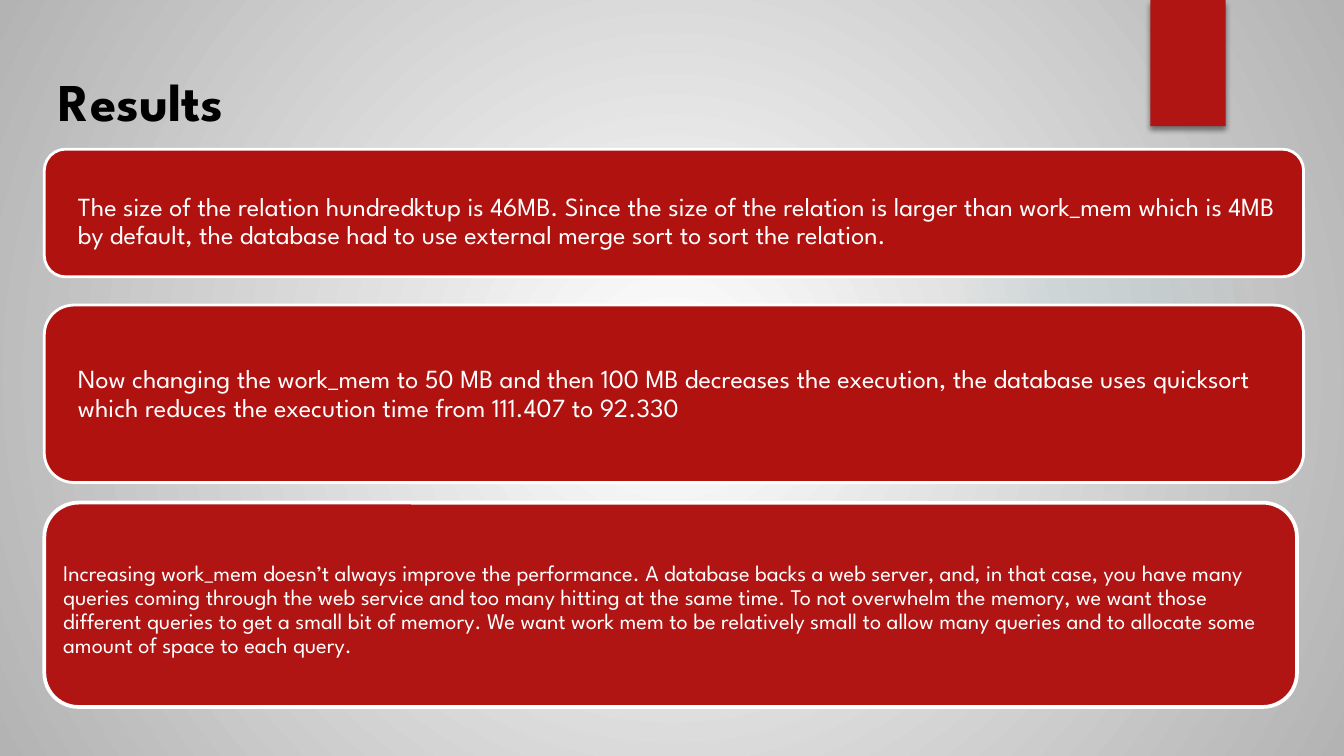
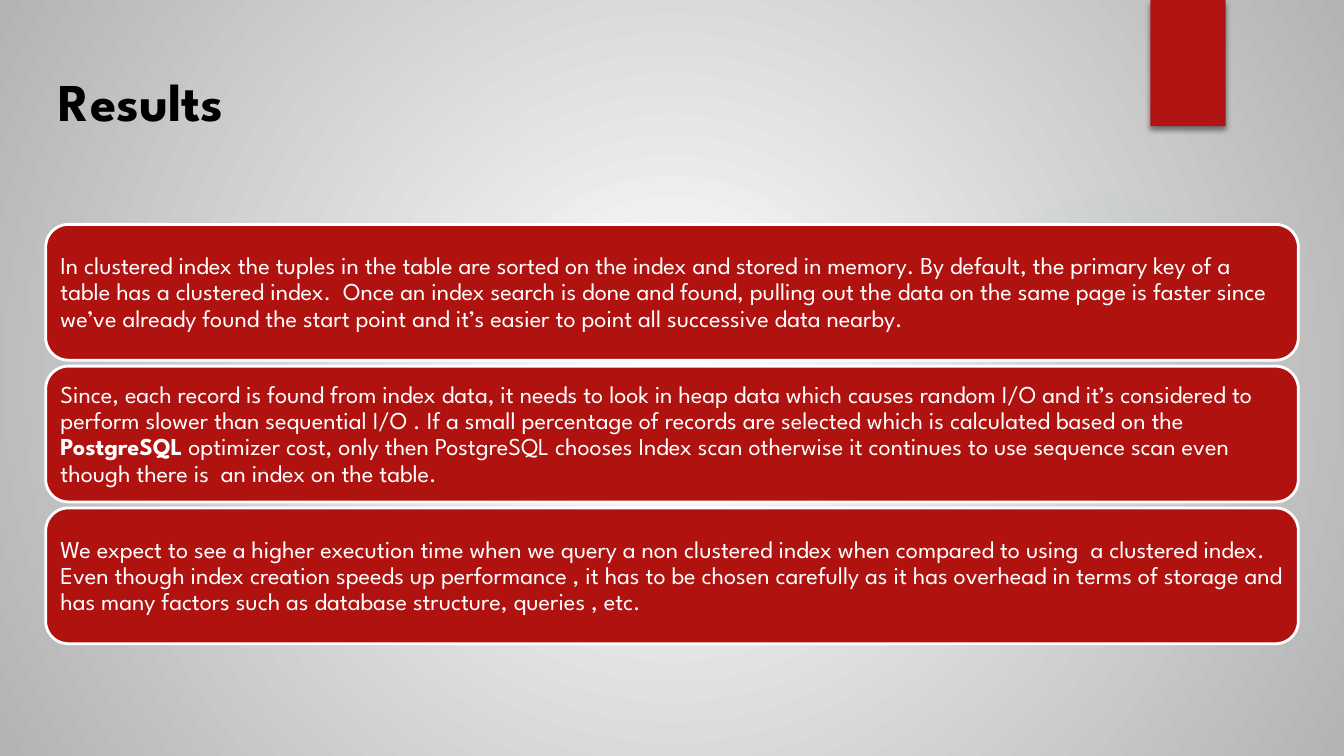
from lxml import etree
from pptx import Presentation
from pptx.dml.color import RGBColor
from pptx.enum.shapes import MSO_SHAPE
from pptx.enum.text import MSO_ANCHOR
from pptx.oxml import parse_xml
from pptx.oxml.ns import nsdecls, qn
from pptx.util import Inches, Pt

RECT = MSO_SHAPE.RECTANGLE
ROUNDED = MSO_SHAPE.ROUNDED_RECTANGLE
OVAL = MSO_SHAPE.OVAL
TOP, MIDDLE = MSO_ANCHOR.TOP, MSO_ANCHOR.MIDDLE

FONT = "League Spartan"
BLACK, WHITE, GREY = "000000", "FFFFFF", "B3B3B3"
TEAL, RED, CARD_RED = "4CB9C3", "B01513", "B01210"


def rgb(color):
    return RGBColor.from_string(color)


def set_radial_fill(fill, parent, stops):
    """Fill from the centre outwards; stops are (position %, colour, opacity %)."""
    fill.solid()
    gs = "".join(
        f'<a:gs pos="{pos * 1000}"><a:srgbClr val="{color}">'
        f'<a:alpha val="{opacity * 1000}"/></a:srgbClr></a:gs>'
        for pos, color, opacity in stops)
    gradient = parse_xml(
        f'<a:gradFill {nsdecls("a")} rotWithShape="1"><a:gsLst>{gs}</a:gsLst>'
        '<a:path path="circle"><a:fillToRect l="50000" t="50000" r="50000" b="50000"/>'
        '</a:path></a:gradFill>')
    parent.replace(parent.find(qn("a:solidFill")), gradient)


def add_shadow(shape):
    effects = shape._element.spPr.find(qn("a:effectLst"))
    shadow = etree.SubElement(effects, qn("a:outerShdw"), blurRad=str(Pt(3)),
                              dist=str(Pt(2)), dir="5400000", rotWithShape="0")
    color = etree.SubElement(shadow, qn("a:srgbClr"), val=BLACK)
    etree.SubElement(color, qn("a:alpha"), val="45000")


class Deck:
    """Holds the presentation, its style and the current slide."""

    def __init__(self):
        self.prs = Presentation()
        self.prs.slide_width = Inches(10)
        self.prs.slide_height = Inches(10 * 9 / 16)

    def new_slide(self, title):
        self.s = self.prs.slides.add_slide(self.prs.slide_layouts[6])
        fill = self.s.background.fill
        fill.solid()
        bg = self.s._element.cSld.find(qn("p:bg")).find(qn("p:bgPr"))
        set_radial_fill(fill, bg, [(0, WHITE, 100), (100, GREY, 100)])
        glow = self.shape(OVAL, (7.06, 1.38, 2.31, 2.31), TEAL)
        set_radial_fill(glow.fill, glow._element.spPr,
                        [(0, TEAL, 7), (36, TEAL, 6), (69, TEAL, 0), (100, TEAL, 0)])
        add_shadow(self.shape(RECT, (8.56, 0, 0.56, 0.94), RED))
        self.text((0.34, 0.41, 9.32, 0.71), [(title, True)], 28.4, 0.1,
                  color=BLACK, anchor=TOP, spacing=1)

    def shape(self, kind, box, color, line_width=0):
        sp = self.s.shapes.add_shape(kind, *map(Inches, box))
        sp.shadow.inherit = False
        sp.fill.solid()
        sp.fill.fore_color.rgb = rgb(color)
        if line_width:
            sp.line.color.rgb = rgb(WHITE)
            sp.line.width = Pt(line_width)
        else:
            sp.line.fill.background()
        return sp

    def text(self, box, runs, size, inset, color=WHITE, anchor=MIDDLE, spacing=0.9):
        """Add one paragraph; runs are (text, bold) pairs."""
        tf = self.s.shapes.add_textbox(*map(Inches, box)).text_frame
        tf.word_wrap = True
        tf.vertical_anchor = anchor
        tf.margin_left = tf.margin_right = Inches(inset)
        tf.margin_top = tf.margin_bottom = Inches(inset)
        p = tf.paragraphs[0]
        p.line_spacing = spacing
        for content, bold in runs:
            r = p.add_run()
            r.text = content
            r.font.name = FONT
            r.font.size = Pt(size)
            r.font.bold = bold
            r.font.color.rgb = rgb(color)

    def card(self, box, text_box, runs, size, inset, color=CARD_RED, line_width=1.5):
        self.shape(ROUNDED, box, color, line_width)
        self.text(text_box, runs, size, inset)


def add_memory_results(deck):
    deck.new_slide("Results")
    deck.card((0.33, 1.11, 9.37, 0.95), (0.49, 1.17, 9.21, 0.96), [(
        "The size of the relation hundredktup is 46MB. Since the size of the relation "
        "is larger than work_mem which is 4MB by default, the database had to use "
        "external merge sort to sort the relation.", False)], 14, 0.09)
    deck.card((0.33, 2.27, 9.37, 1.32), (0.49, 2.34, 9.21, 1.19), [(
        "Now changing the work_mem to 50 MB and then 100 MB decreases the execution, "
        "the database uses quicksort which reduces the execution time from 111.407 to "
        "92.330", False)], 14, 0.09)
    deck.card((0.33, 3.74, 9.32, 1.52), (0.42, 3.82, 9.22, 1.44), [(
        "Increasing work_mem doesn’t always improve the performance. A database backs "
        "a web server, and, in that case, you have many queries coming through the web "
        "service and too many hitting at the same time. To not overwhelm the memory, we "
        "want those different queries to get a small bit of memory. We want work mem to "
        "be relatively small to allow many queries and to allocate some amount of space "
        "to each query.", False)], 12, 0.05, color=RED, line_width=2)


def add_index_results(deck):
    deck.new_slide("Results")
    findings = [
        [("In clustered index the tuples in the table are sorted on the index and stored "
          "in memory. By default, the primary key of a table has a clustered index.  Once "
          "an index search is done and found, pulling out the data on the same page is "
          "faster since we’ve already found the start point and it’s easier to point all "
          "successive data nearby.", False)],
        [("Since, each record is found from index data, it needs to look in heap data "
          "which causes random I/O and it’s considered to perform slower than sequential "
          "I/O . If a small percentage of records are selected which is calculated based "
          "on the ", False),
         ("PostgreSQL", True),
         (" optimizer cost, only then PostgreSQL chooses Index scan otherwise it "
          "continues to use sequence scan even though there is  an index on the table.",
          False)],
        [("We expect to see a higher execution time when we query a non clustered index "
          "when compared to using  a clustered index. Even though index creation speeds "
          "up performance , it has to be chosen carefully as it has overhead in terms of "
          "storage and has many factors such as database structure, queries , etc.",
          False)],
    ]
    first_top, last_top = 1.67, 3.78
    pitch = (last_top - first_top) / (len(findings) - 1)
    for i, runs in enumerate(findings):
        top = first_top + pitch * i
        deck.card((0.34, top, 9.32, 1.01), (0.4, top + 0.05, 9.19, 0.92),
                  runs, 13, 0.05)


def main():
    deck = Deck()
    add_memory_results(deck)
    add_index_results(deck)
    deck.prs.save("out.pptx")


if __name__ == "__main__":
    main()
